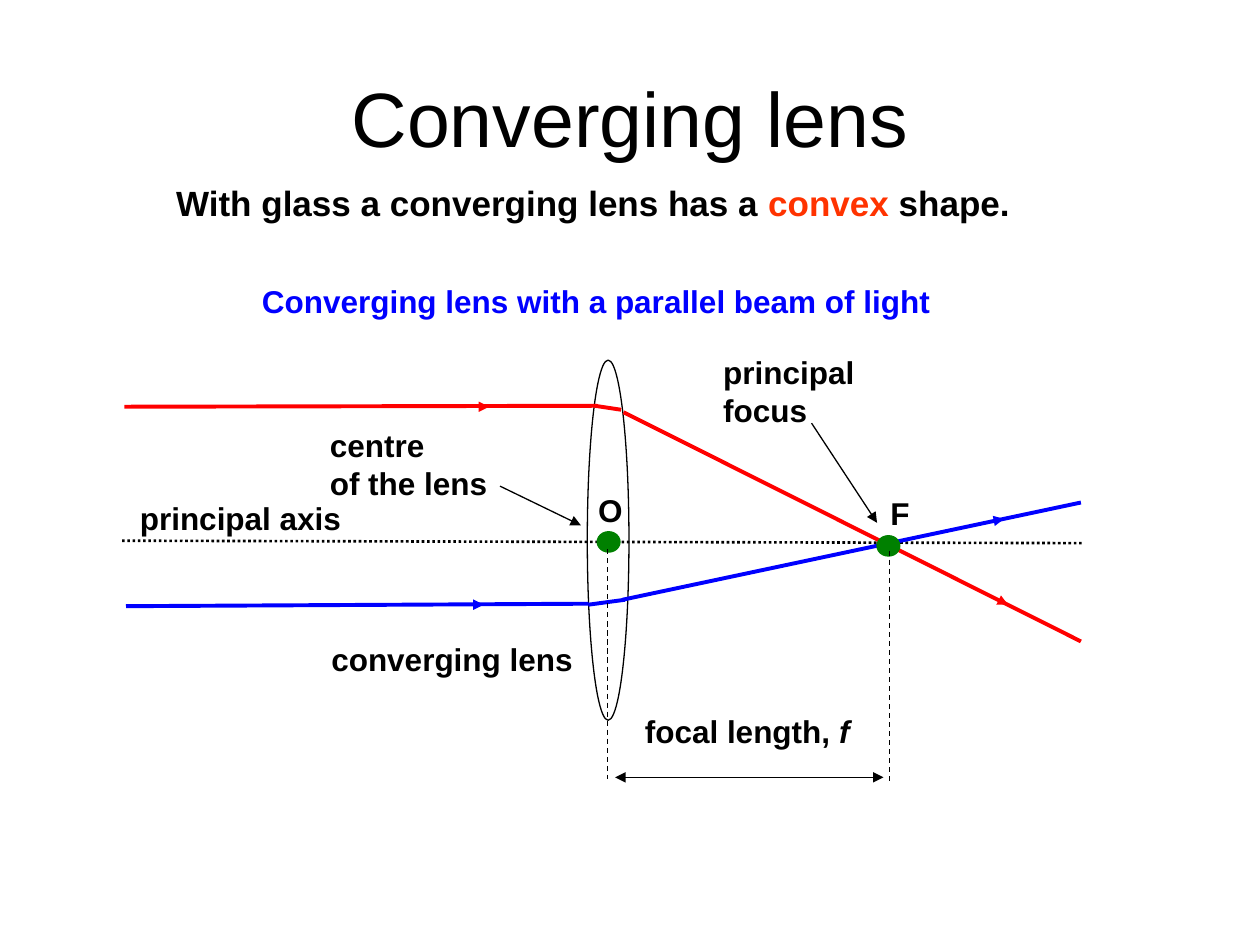
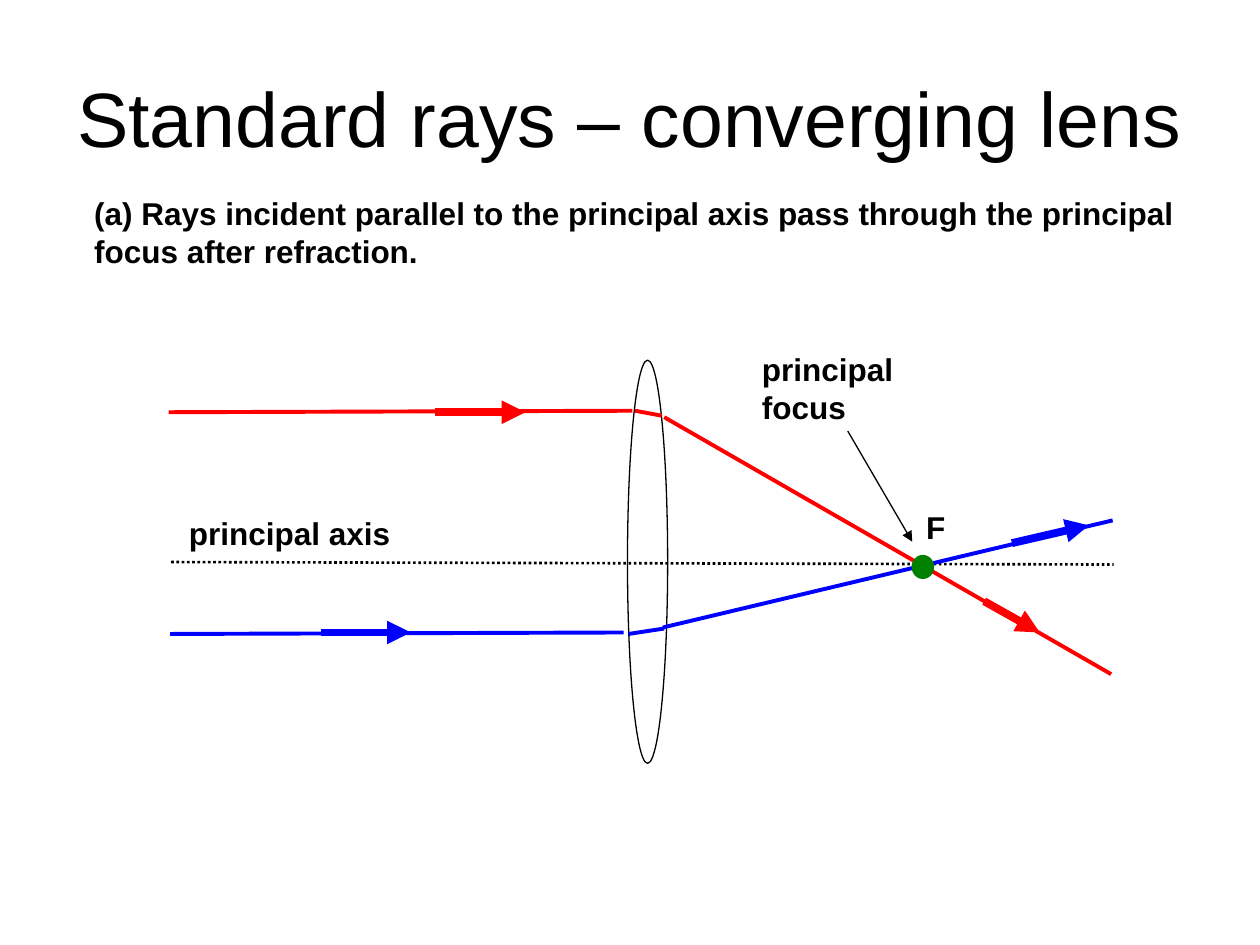
import dataclasses
import typing

import lxml.etree
import pptx
import pptx.dml.color
import pptx.enum.dml
import pptx.enum.shapes
import pptx.enum.text
import pptx.oxml.ns
import pptx.util

# Shared style
FONT = "Arial"
BLACK = "000000"
RED = "FF0000"
BLUE = "0000FF"
GREEN = "008000"
ORANGE = "FF3300"
THIN, AXIS, RAY, BOLD_ARROW = 0.75, 1.5, 2.25, 4.5
DASH = pptx.enum.dml.MSO_LINE.DASH
DOTTED = pptx.enum.dml.MSO_LINE.ROUND_DOT
TOP = pptx.enum.text.MSO_ANCHOR.TOP
MIDDLE = pptx.enum.text.MSO_ANCHOR.MIDDLE
LEFT = pptx.enum.text.PP_ALIGN.LEFT
CENTER = pptx.enum.text.PP_ALIGN.CENTER


# All positions and sizes are in centimetres
class Point(typing.NamedTuple):
    x: float
    y: float


class Box(typing.NamedTuple):
    left: float
    top: float
    width: float
    height: float


class Run(typing.NamedTuple):
    text: str
    colour: str | None = None
    italic: bool = False


class Segment(typing.NamedTuple):
    start: Point
    end: Point


@dataclasses.dataclass
class LightRay:
    """A ray that enters the lens, bends inside it and leaves through F."""
    colour: str
    incoming: Segment
    inside: Segment
    outgoing: Segment
    arrows: list[Segment]


@dataclasses.dataclass
class Label:
    box: Box
    paragraphs: list[list[Run]]


@dataclasses.dataclass
class Diagram:
    lens: Box
    axis: Segment
    rays: list[LightRay]
    arrow_width: float
    points: list[Box]
    pointers: list[Segment]
    labels: list[Label]


TITLE_BOX = Box(1.27, 0.76, 22.86, 3.18)


def colour_of(hex_code: str) -> pptx.dml.color.RGBColor:
    return pptx.dml.color.RGBColor.from_string(hex_code)


def lengths(values: typing.Iterable[float]) -> list[pptx.util.Cm]:
    return [pptx.util.Cm(value) for value in values]


def label(box: Box, *lines: str) -> Label:
    return Label(box, [[Run(line)] for line in lines])


def segment(x1: float, y1: float, x2: float, y2: float) -> Segment:
    return Segment(Point(x1, y1), Point(x2, y2))


def add_text(slide, box: Box, paragraphs: list[list[Run]], *, size: float = 18,
             colour: str = BLACK, bold: bool = True, align=LEFT, anchor=TOP) -> None:
    frame = slide.shapes.add_textbox(*lengths(box)).text_frame
    frame.word_wrap = True
    frame.vertical_anchor = anchor
    for index, runs in enumerate(paragraphs):
        paragraph = frame.add_paragraph() if index else frame.paragraphs[0]
        paragraph.alignment = align
        for part in runs:
            run = paragraph.add_run()
            run.text = part.text
            run.font.name = FONT
            run.font.size = pptx.util.Pt(size)
            run.font.bold = bold
            run.font.italic = part.italic
            run.font.color.rgb = colour_of(part.colour or colour)


def add_line(slide, line: Segment, *, colour: str = BLACK, width: float = THIN,
             dash=None, head: bool = False, tail: bool = False) -> None:
    connector = slide.shapes.add_connector(
        pptx.enum.shapes.MSO_CONNECTOR.STRAIGHT, *lengths(line.start + line.end))
    connector.line.color.rgb = colour_of(colour)
    connector.line.width = pptx.util.Pt(width)
    if dash is not None:
        connector.line.dash_style = dash
    outline = connector.line._get_or_add_ln()
    for tag, wanted in (("a:headEnd", head), ("a:tailEnd", tail)):
        if wanted:
            lxml.etree.SubElement(outline, pptx.oxml.ns.qn(tag), type="triangle")
    lxml.etree.SubElement(connector._element.spPr, pptx.oxml.ns.qn("a:effectLst"))


def add_ellipse(slide, box: Box, *, line: str, fill: str | None = None) -> None:
    shape = slide.shapes.add_shape(pptx.enum.shapes.MSO_SHAPE.OVAL, *lengths(box))
    shape.shadow.inherit = False
    if fill is None:
        shape.fill.background()
    else:
        shape.fill.solid()
        shape.fill.fore_color.rgb = colour_of(fill)
    shape.line.color.rgb = colour_of(line)
    shape.line.width = pptx.util.Pt(THIN)


def add_titled_slide(presentation, title: str):
    slide = presentation.slides.add_slide(presentation.slide_layouts[6])
    add_text(slide, TITLE_BOX, [[Run(title)]], size=44, bold=False,
             align=CENTER, anchor=MIDDLE)
    return slide


def draw_diagram(slide, diagram: Diagram) -> None:
    add_ellipse(slide, diagram.lens, line=BLACK)
    add_line(slide, diagram.axis, width=AXIS, dash=DOTTED)
    for ray in diagram.rays:
        for part in (ray.incoming, ray.inside, ray.outgoing):
            add_line(slide, part, colour=ray.colour, width=RAY)
        for arrow in ray.arrows:
            add_line(slide, arrow, colour=ray.colour, width=diagram.arrow_width, tail=True)
    for point in diagram.points:
        add_ellipse(slide, point, line=GREEN, fill=GREEN)
    for pointer in diagram.pointers:
        add_line(slide, pointer, tail=True)
    for item in diagram.labels:
        add_text(slide, item.box, item.paragraphs)


# Slide 1: parallel beam and focal length
PARALLEL_BEAM = Diagram(
    lens=Box(11.84, 7.26, 0.84, 7.26),
    axis=segment(2.46, 10.9, 21.82, 10.95),
    rays=[
        LightRay(RED,
                 incoming=segment(2.51, 8.2, 12.04, 8.18),
                 inside=segment(11.99, 8.18, 12.52, 8.26),
                 outgoing=segment(12.57, 8.31, 21.79, 12.93),
                 arrows=[segment(7.98, 8.2, 9.86, 8.2),
                         segment(19.15, 11.61, 20.32, 12.19)]),
        LightRay(BLUE,
                 incoming=segment(2.54, 12.22, 11.86, 12.17),
                 inside=segment(11.86, 12.19, 12.6, 12.09),
                 outgoing=segment(12.55, 12.09, 21.79, 10.13),
                 arrows=[segment(5.64, 12.19, 9.75, 12.19),
                         segment(18.69, 10.77, 20.24, 10.46)]),
    ],
    arrow_width=THIN,
    points=[Box(12.04, 10.72, 0.46, 0.41), Box(17.68, 10.8, 0.46, 0.41)],
    pointers=[segment(16.36, 8.53, 17.68, 10.54), segment(10.08, 9.8, 11.71, 10.59)],
    labels=[
        label(Box(6.43, 12.78, 5.69, 1.35), "converging lens"),
        label(Box(2.57, 9.93, 4.9, 1.07), "principal axis"),
        label(Box(17.7, 9.83, 1.4, 1.19), "F"),
        label(Box(11.81, 9.78, 1.52, 1.3), "O"),
        label(Box(14.33, 6.99, 3.73, 2.01), "principal focus"),
        label(Box(6.4, 8.46, 3.86, 2.59), "centre", "of the lens"),
        Label(Box(12.75, 14.22, 4.83, 1.17),
              [[Run("focal length, "), Run("f", italic=True)]]),
    ],
)

# Slide 2: rays parallel to the principal axis
STANDARD_RAYS = Diagram(
    lens=Box(12.65, 7.26, 0.81, 8.13),
    axis=segment(3.45, 11.33, 22.45, 11.38),
    rays=[
        LightRay(RED,
                 incoming=segment(3.4, 8.31, 12.75, 8.28),
                 inside=segment(12.8, 8.28, 13.34, 8.38),
                 outgoing=segment(13.39, 8.41, 22.4, 13.59),
                 arrows=[segment(8.76, 8.31, 10.59, 8.31),
                         segment(19.84, 12.12, 20.96, 12.75)]),
        LightRay(BLUE,
                 incoming=segment(3.43, 12.78, 12.57, 12.75),
                 inside=segment(12.67, 12.78, 13.39, 12.67),
                 outgoing=segment(13.36, 12.65, 22.43, 10.49),
                 arrows=[segment(6.48, 12.75, 8.28, 12.75),
                         segment(20.4, 10.95, 21.95, 10.59)]),
    ],
    arrow_width=BOLD_ARROW,
    points=[Box(18.39, 11.2, 0.43, 0.46)],
    pointers=[segment(17.09, 8.69, 18.39, 10.92)],
    labels=[
        label(Box(3.56, 10.24, 4.8, 1.19), "principal axis"),
        label(Box(18.42, 10.11, 1.35, 1.35), "F"),
        label(Box(15.11, 6.93, 3.66, 2.26), "principal focus"),
    ],
)


def build_converging_lens(presentation) -> None:
    slide = add_titled_slide(presentation, "Converging lens")
    add_text(slide, Box(3.3, 3.53, 19.61, 1.12),
             [[Run("With glass a converging lens has a "),
               Run("convex", ORANGE), Run(" shape.")]], size=20, anchor=MIDDLE)
    add_text(slide, Box(5.03, 5.56, 14.6, 1.02),
             [[Run("Converging lens with a parallel beam of light")]], colour=BLUE)
    draw_diagram(slide, PARALLEL_BEAM)
    # Focal length, measured from O to F
    add_line(slide, segment(12.24, 11.07, 12.24, 15.7), dash=DASH)
    add_line(slide, segment(17.93, 11.1, 17.93, 15.75), dash=DASH)
    add_line(slide, segment(12.4, 15.67, 17.81, 15.67), head=True, tail=True)


def build_standard_rays(presentation) -> None:
    slide = add_titled_slide(presentation, "Standard rays – converging lens")
    add_text(slide, Box(1.65, 3.78, 22.48, 1.78),
             [[Run("(a) Rays incident parallel to the principal axis pass through "
                   "the principal focus after refraction.")]], anchor=MIDDLE)
    draw_diagram(slide, STANDARD_RAYS)


def main() -> None:
    presentation = pptx.Presentation()
    presentation.slide_width = pptx.util.Cm(25.4)
    presentation.slide_height = pptx.util.Cm(19.05)
    build_converging_lens(presentation)
    build_standard_rays(presentation)
    presentation.save("out.pptx")


if __name__ == "__main__":
    main()
